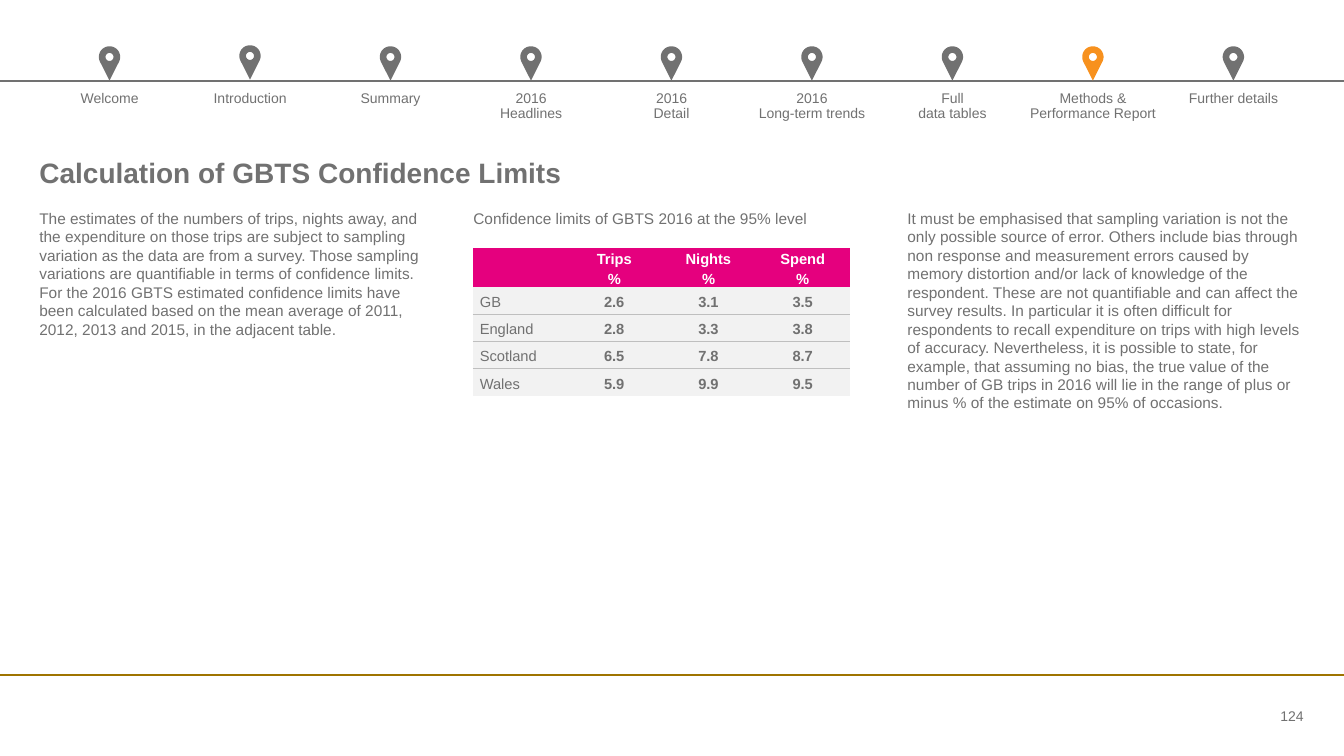
from math import cos, sin, radians
from lxml.etree import SubElement
from pptx import Presentation
from pptx.dml.color import RGBColor
from pptx.enum.shapes import MSO_CONNECTOR
from pptx.enum.text import MSO_ANCHOR, MSO_AUTO_SIZE, PP_ALIGN
from pptx.oxml import parse_xml
from pptx.oxml.ns import nsdecls, qn
from pptx.util import Inches, Pt

HUES = {"grey": "717171", "pink": "E5007E", "orange": "F7911E", "gold": "9F7400",
        "pale": "F2F2F2", "edge": "BFBFBF", "white": "FFFFFF"}
PLAIN = "{2D5ABB26-0587-4C30-8999-92F81FD0307C}"


def style(frame, size, hue="grey", bold=False, align=PP_ALIGN.LEFT, lead=None):
    for para in frame.paragraphs:
        para.alignment = align
        para.space_before = Pt(0)
        if lead:
            para.line_spacing = Pt(lead)
        font = para.font
        font.name, font.size, font.bold = "Arial", Pt(size), bold
        font.color.rgb = RGBColor.from_string(HUES[hue])


def rule(top, hue, width):
    line = slide.shapes.add_connector(
        MSO_CONNECTOR.STRAIGHT, 0, Inches(top), deck.slide_width, Inches(top))
    line.line.color.rgb = RGBColor.from_string(HUES[hue])
    line.line.width = Pt(width)
    SubElement(line.element.spPr, qn("a:effectLst"))


deck = Presentation()
deck.slide_width, deck.slide_height = Inches(13.33), Inches(7.5)
slide = deck.slides.add_slide(deck.slide_layouts[4])
shapes = slide.shapes

rule(6.7, "gold", 1.5)

stops = ["Welcome", "Introduction", "Summary", "2016\nHeadlines", "2016\nDetail",
         "2016\nLong-term trends", "Full\ndata tables",
         "Methods & Performance Report", "Further details"]
left, span = 0.39, 12.54
step = span / len(stops)
menu = shapes.add_table(1, len(stops), Inches(left), Inches(0.9),
                        Inches(span), Inches(0.35))
menu.table.first_row = menu.table.horz_banding = False
next(menu.element.iter(qn("a:tableStyleId"))).text = PLAIN
for cell, stop in zip(menu.table.iter_cells(), stops):
    cell.margin_left = cell.margin_right = cell.margin_top = cell.margin_bottom = 0
    cell.fill.background()
    cell.text = stop
    style(cell.text_frame, 10, align=PP_ALIGN.CENTER)

title = shapes.title
title.left, title.top = Inches(left), Inches(1.11)
title.width, title.height = Inches(12.52), Inches(0.77)
title.text = "Calculation of GBTS Confidence Limits"

texts = [
    "The estimates of the numbers of trips, nights away, and the expenditure on those "
    "trips are subject to sampling variation as the data are from a survey. Those "
    "sampling variations are quantifiable in terms of confidence limits. For the 2016 "
    "GBTS estimated confidence limits have been calculated based on the mean average of "
    "2011, 2012, 2013 and 2015, in the adjacent table.",
    "Confidence limits of GBTS 2016 at the 95% level",
    "It must be emphasised that sampling variation is not the only possible source of "
    "error. Others include bias through non response and measurement errors caused by "
    "memory distortion and/or lack of knowledge of the respondent. These are not "
    "quantifiable and can affect the survey results. In particular it is often difficult "
    "for respondents to recall expenditure on trips with high levels of accuracy. "
    "Nevertheless, it is possible to state, for example, that assuming no bias, the true "
    "value of the number of GB trips in 2016 will lie in the range of plus or minus % of "
    "the estimate on 95% of occasions."]
bodies = list(slide.placeholders)[1:]
spare = bodies.pop().element
spare.getparent().remove(spare)
for i, (body, text) in enumerate(zip(bodies, texts)):
    body.left, body.top = Inches(left + i * 4.305), Inches(2.07)
    body.width, body.height = Inches(3.94), Inches(4.18)
    body.text = text
    props = body.text_frame.paragraphs[0]._p.get_or_add_pPr()
    props.set("marL", "0")
    props.set("indent", "0")
    SubElement(props, qn("a:buNone"))

page = shapes.add_textbox(Inches(11.87), Inches(6.99), Inches(1.06), Inches(0.22))
page.text_frame.text = "124"

for box, size, bold, align, anchor in [
        (title, 20, True, PP_ALIGN.LEFT, MSO_ANCHOR.BOTTOM),
        *[(body, 11, False, PP_ALIGN.LEFT, MSO_ANCHOR.TOP) for body in bodies],
        (page, 10, False, PP_ALIGN.RIGHT, MSO_ANCHOR.MIDDLE)]:
    frame = box.text_frame
    frame.margin_left = frame.margin_right = frame.margin_top = frame.margin_bottom = 0
    frame.word_wrap = True
    frame.auto_size = MSO_AUTO_SIZE.NONE
    frame.vertical_anchor = anchor
    style(frame, size, bold=bold, align=align)

rows = [["", "Trips\n%", "Nights\n%", "Spend\n%"],
        ["GB", "2.6", "3.1", "3.5"],
        ["England", "2.8", "3.3", "3.8"],
        ["Scotland", "6.5", "7.8", "8.7"],
        ["Wales", "5.9", "9.9", "9.5"]]
limits = shapes.add_table(len(rows), 4, Inches(4.69), Inches(2.46),
                          Inches(3.74), Inches(1.42))
next(limits.element.iter(qn("a:tableStyleId"))).text = PLAIN
grid = limits.table
grid.horz_banding = False
for r, row in enumerate(rows):
    grid.rows[r].height = Inches(0.27 if r else 0.34)
    for c, text in enumerate(row):
        cell = grid.cell(r, c)
        cell.margin_left = cell.margin_right = Inches(0.07)
        cell.margin_top = cell.margin_bottom = 0
        cell.vertical_anchor = MSO_ANCHOR.MIDDLE
        cell.text = text
        style(cell.text_frame, 10.5, "grey" if r else "white", r == 0 or c > 0,
              PP_ALIGN.CENTER if c else PP_ALIGN.LEFT, 14)
        cell.fill.solid()
        cell.fill.fore_color.rgb = RGBColor.from_string(HUES["pale" if r else "pink"])
        if 0 < r < len(rows) - 1:
            cell._tc.get_or_add_tcPr().insert(0, parse_xml(
                f'<a:lnB {nsdecls("a")} w="12700"><a:solidFill>'
                f'<a:srgbClr val="{HUES["edge"]}"/></a:solidFill></a:lnB>'))

rule(0.8, "grey", 1.25)

for i, stop in enumerate(stops):
    mid = left + (i + 0.5) * step
    tip = 0.79 if stop == "Introduction" else 0.8
    hub = tip - 0.235
    head = [(Inches(mid + 0.106 * cos(radians(a))), Inches(hub + 0.106 * sin(radians(a))))
            for a in range(25, -206, -10)]
    hole = [(Inches(mid + 0.04 * cos(radians(a))), Inches(hub + 0.04 * sin(radians(a))))
            for a in range(0, 360, 15)]
    pen = shapes.build_freeform(Inches(mid), Inches(tip))
    pen.add_line_segments(head)
    pen.move_to(*hole[0])
    pen.add_line_segments(hole[1:])
    pin = pen.convert_to_shape()
    pin.shadow.inherit = False
    pin.line.fill.background()
    pin.fill.solid()
    pin.fill.fore_color.rgb = RGBColor.from_string(
        HUES["orange" if stop.startswith("Methods") else "grey"])

deck.save("out.pptx")
